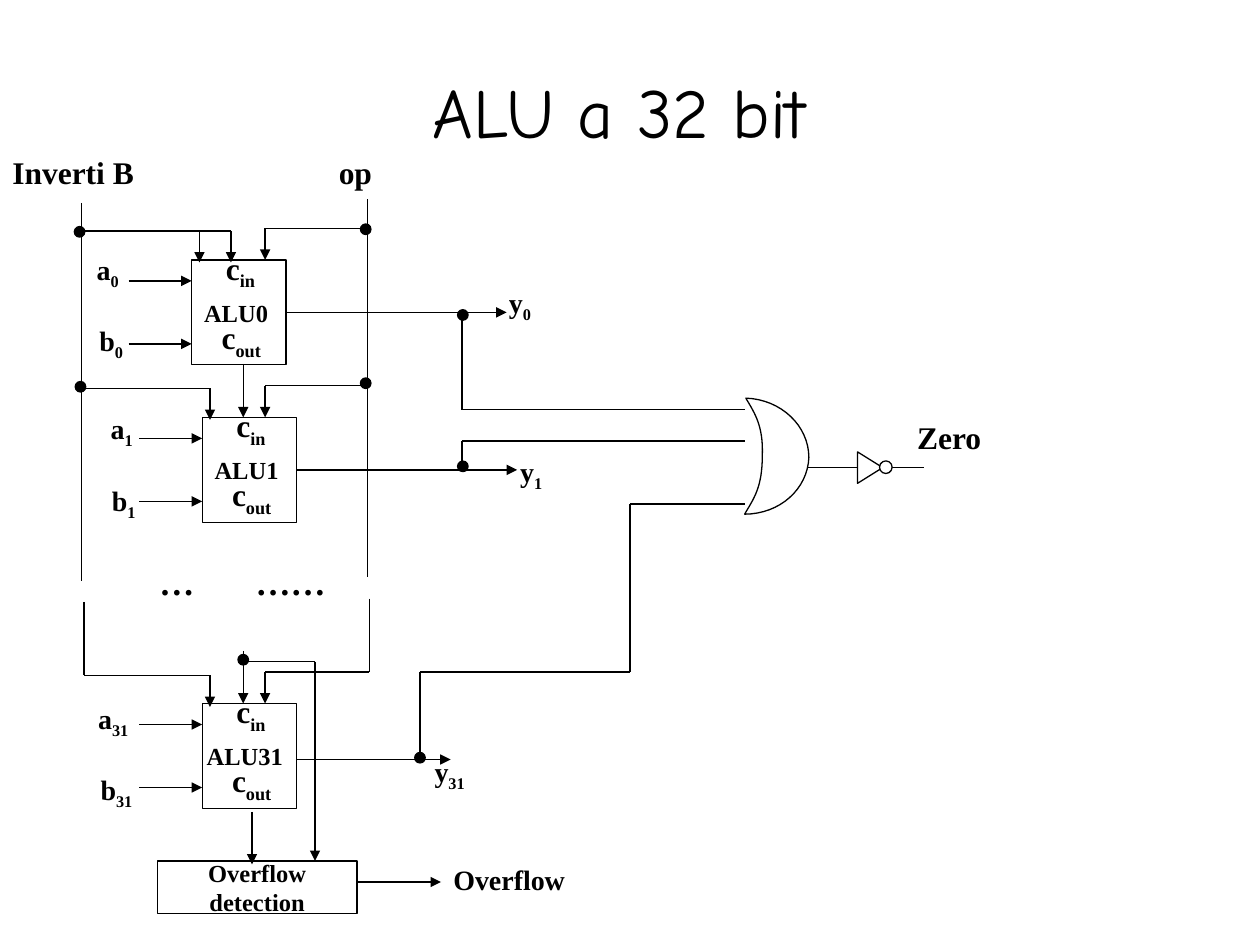
"""Builds the slide that shows a 32-bit ALU with zero and overflow detection."""
from itertools import pairwise
from lxml.etree import SubElement
from pptx import Presentation
from pptx.dml.color import RGBColor
from pptx.enum.shapes import MSO_CONNECTOR, MSO_SHAPE
from pptx.enum.text import MSO_ANCHOR, MSO_AUTO_SIZE, PP_ALIGN
from pptx.oxml.ns import qn
from pptx.util import Pt

COLORS = {"ink": "000000", "paper": "FFFFFF"}
SERIF = "Times New Roman"
WIDE, HIGH = 54, 60

BLOCKS = [
    {"name": "ALU0", "at": (109.5, 148.5), "shift": 0, "out": 126, "drop": 0},
    {"name": "ALU1", "at": (115.5, 238.5), "shift": 0, "out": 126, "drop": 0},
    {"name": "ALU31", "at": (115.5, 402), "shift": -4.5, "out": 88, "drop": 2},
]
PINS = [("c_in", 12.5, -10, 34), ("c_out", 10, 29.5, 40)]
LABELS = [
    ("a_0", 48.2, 141, 30, 16), ("b_0", 49.7, 181.4, 31, 16),
    ("a_1", 56.2, 231.8, 30, 16), ("b_1", 56.9, 272.9, 31, 16),
    ("a_31", 49, 397.4, 35, 16), ("b_31", 50.4, 437.8, 36, 16),
    ("y_0", 283.7, 159.8, 30, 16), ("y_1", 290.2, 256.3, 30, 16),
    ("y_31", 241.2, 427.7, 35, 16), ("Overflow", 252, 489.6, 81, 16),
    ("Inverti B", 0, 84.2, 88, 18), ("op", 186.5, 84.2, 37, 18),
    ("Zero", 517, 235.4, 55, 18),
    ("…", 84, 316.8, 38, 20), ("……", 139, 316.8, 58, 20),
]
ARROWS = [
    [(211, 130.5), (151.5, 130.5), (151.5, 148.5)],
    [(211, 220.5), (151.5, 220.5), (151.5, 238.5)],
    [(211, 342), (211, 384), (151.5, 384), (151.5, 402)],
    [(48, 132), (114, 132), (114, 150)],
    [(114, 132), (132, 132), (132, 150)],
    [(48, 222), (120, 222), (120, 240)],
    [(48, 344), (48, 386), (120, 386), (120, 404)],
    [(139, 208), (139, 238.5)],
    [(139, 372), (139, 402)],
    [(144, 464), (144, 494)],
    [(138, 378), (180, 378), (180, 492)],
    [(204, 504), (252, 504)],
]
WIRES = [
    [(210, 114), (210, 330)],
    [(46.5, 116), (46.5, 332)],
    [(264, 180), (264, 234), (426, 234)],
    [(264, 264), (264, 252), (426, 252)],
    [(240, 432), (240, 384), (360, 384), (360, 288), (426, 288)],
    [(462, 267), (492, 267)],
    [(510, 267), (528, 267)],
]
DOTS = [(206, 128), (206, 216), (42.5, 129.5), (43, 218), (136, 374),
        (261.5, 177), (261.5, 263.5), (237, 430)]
GATE = [
    [(425.5, 293.8), (430.6, 285.1), (435.6, 278.6), (435.6, 260.6)],
    [(435.6, 260.6), (436.3, 243.4), (431.3, 236.2), (426.2, 227.5)],
    [(426.2, 227.5), (446.4, 228.2), (462.2, 243.4), (462.2, 261.4)],
    [(462.2, 261.4), (461.5, 279.4), (445.7, 293.8), (425.5, 293.8)],
]


def tint(name):
    return RGBColor.from_string(COLORS[name])


def paint(shape, fill="paper"):
    shape.shadow.inherit = False
    shape.fill.solid()
    shape.fill.fore_color.rgb = tint(fill)
    shape.line.color.rgb = tint("ink")
    shape.line.width = Pt(0.75)
    return shape


def draw(kind, left, top, wide, high, fill="paper"):
    return paint(shapes.add_shape(kind, Pt(left), Pt(top), Pt(wide), Pt(high)), fill)


def add_run(para, text, size, face=SERIF, bold=True):
    run = para.add_run()
    run.text = text
    run.font.name, run.font.size, run.font.bold = face, Pt(size), bold
    run.font.color.rgb = tint("ink")
    return run


def label(text, left, top, wide, size):
    box = shapes.add_textbox(Pt(left), Pt(top), Pt(wide), Pt(size * 1.2 + 8))
    frame = box.text_frame
    frame.word_wrap = False
    frame.auto_size = MSO_AUTO_SIZE.SHAPE_TO_FIT_TEXT
    base, _, sub = text.partition("_")
    add_run(frame.paragraphs[0], base, size)
    if sub:
        run = add_run(frame.paragraphs[0], sub, size)
        run._r.get_or_add_rPr().set("baseline", "-25000")


def link(start, end, arrow=False):
    ends = [Pt(v) for v in (*start, *end)]
    line = shapes.add_connector(MSO_CONNECTOR.STRAIGHT, *ends)
    line.line.color.rgb = tint("ink")
    line.line.width = Pt(0.75)
    props = line._element.spPr
    if arrow:
        SubElement(props.find(qn("a:ln")), qn("a:tailEnd"), type="triangle")
    SubElement(props, qn("a:effectLst"))
    return line


def route(points, arrow=False):
    for start, end in pairwise(points):
        link(start, end, arrow and end == points[-1])


def curve(nodes, steps=16):
    for i in range(1, steps + 1):
        t = i / steps
        parts = ((1 - t) ** 3, 3 * t * (1 - t) ** 2, 3 * t * t * (1 - t), t ** 3)
        yield tuple(Pt(sum(k * n[axis] for k, n in zip(parts, nodes))) for axis in (0, 1))


def add_block(name, at, shift, out, drop):
    x, y = at
    box = draw(MSO_SHAPE.RECTANGLE, x, y, WIDE, HIGH)
    for text, dx, dy, wide in PINS:
        label(text, x + dx, y + dy, wide, 18)
    label(name, x + shift, y + 18, 54 - 2 * shift, 14)
    for dy in (12, 48):
        link((x - 36, y + dy), (x, y + dy), True)
    mid = y + HIGH / 2 + drop
    line = link((x + WIDE, mid), (x + WIDE + out, mid), True)
    if not drop:
        line.begin_connect(box, 3)


deck = Presentation()
deck.slide_width, deck.slide_height = Pt(720), Pt(540)
slide = deck.slides.add_slide(deck.slide_layouts[5])
shapes = slide.shapes

title = shapes.title
title.left, title.top, title.width, title.height = Pt(48), Pt(18), Pt(612), Pt(90)
title.text_frame.auto_size = MSO_AUTO_SIZE.NONE
title.text_frame.vertical_anchor = MSO_ANCHOR.MIDDLE
head = title.text_frame.paragraphs[0]
head.alignment = PP_ALIGN.CENTER
add_run(head, "ALU a 32 bit", 40, "Comic Neue", False)

for block in BLOCKS:
    add_block(**block)

check = draw(MSO_SHAPE.RECTANGLE, 90, 492, 114, 30)
frame = check.text_frame
frame.word_wrap = False
frame.vertical_anchor = MSO_ANCHOR.MIDDLE
for i, word in enumerate(("Overflow", "detection")):
    para = frame.add_paragraph() if i else frame.paragraphs[0]
    para.alignment = PP_ALIGN.CENTER
    add_run(para, word, 14)

path = shapes.build_freeform(*(Pt(v) for v in GATE[0][0]), scale=1.0)
path.add_line_segments([p for part in GATE for p in curve(part)], close=True)
paint(path.convert_to_shape())

for points in ARROWS:
    route(points, True)
for points in WIRES:
    route(points)
for left, top in DOTS:
    draw(MSO_SHAPE.OVAL, left, top, 6, 6, "ink")

draw(MSO_SHAPE.ISOSCELES_TRIANGLE, 488.2, 260, 18, 14.4).rotation = 90
draw(MSO_SHAPE.OVAL, 502.6, 263.4, 7.2, 7.2)
for item in LABELS:
    label(*item)

deck.save("out.pptx")
